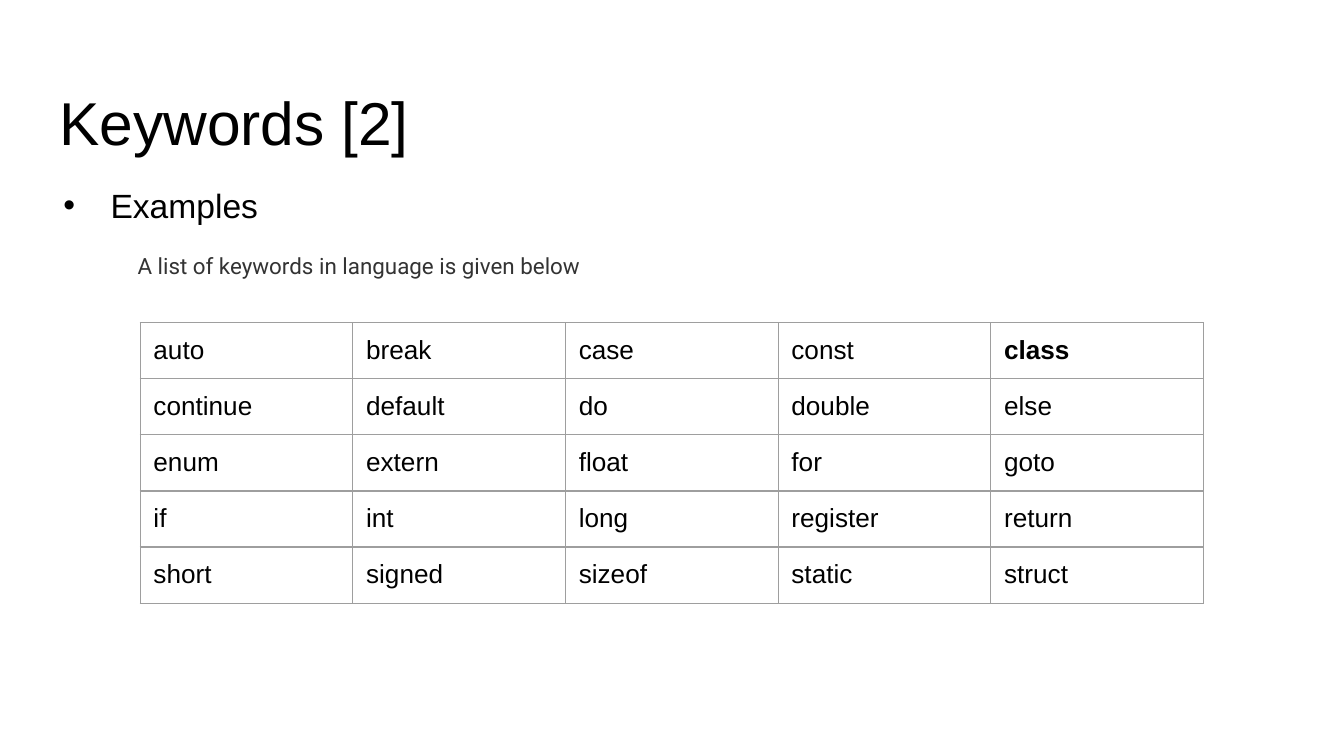
from dataclasses import dataclass

from lxml.etree import SubElement
from pptx import Presentation
from pptx.dml.color import RGBColor
from pptx.enum.text import MSO_ANCHOR, MSO_AUTO_SIZE, PP_ALIGN
from pptx.oxml.ns import qn
from pptx.util import Cm, Pt

# Content
TITLE = "Keywords [2]"
BULLET = "Examples"
INTRO = "A list of keywords in language is given below"
KEYWORDS = [
    ["auto", "break", "case", "const", "class"],
    ["continue", "default", "do", "double", "else"],
    ["enum", "extern", "float", "for", "goto"],
    ["if", "int", "long", "register", "return"],
    ["short", "signed", "sizeof", "static", "struct"],
]
BOLD_KEYWORDS = {"class"}


@dataclass(frozen=True)
class Theme:
    font: str = "Arial"
    intro_font: str = "Roboto"
    text: str = "000000"
    intro: str = "333333"
    border: str = "9E9E9E"
    title_size: float = 32.4
    bullet_size: float = 18
    intro_size: float = 12
    cell_size: float = 14
    border_width: float = 0.75


THEME = Theme()

# Layout in centimetres
SLIDE_SIZE = (25.4, 14.29)
TITLE_BOX = (0.87, 1.24, 23.67, 1.6)
BODY_BOX = (0.87, 3.2, 23.67, 9.5)
TABLE_LEFT, TABLE_TOP = 2.65, 6.1
COLUMN_WIDTH, ROW_HEIGHT = 4.02, 1.06
MARGIN = 0.25


def write_text(paragraph, text, size, font=THEME.font, color=THEME.text,
               bold=False, align=PP_ALIGN.LEFT):
    paragraph.alignment = align
    run = paragraph.add_run()
    run.text = text
    run.font.name = font
    run.font.size = Pt(size)
    run.font.bold = bold
    run.font.color.rgb = RGBColor.from_string(color)


def set_frame(frame, top_margin):
    frame.word_wrap = True
    frame.auto_size = MSO_AUTO_SIZE.NONE
    frame.vertical_anchor = MSO_ANCHOR.TOP
    frame.margin_left = frame.margin_right = frame.margin_bottom = Cm(MARGIN)
    frame.margin_top = Cm(top_margin)


def set_indent(paragraph, left, first_line=0):
    properties = paragraph._p.get_or_add_pPr()
    properties.set("marL", str(Cm(left)))
    properties.set("indent", str(Cm(first_line)))
    return properties


def add_bullet(paragraph, left, hanging):
    properties = set_indent(paragraph, left, -hanging)
    color = SubElement(properties, qn("a:buClr"))
    SubElement(color, qn("a:srgbClr"), val=THEME.text)
    SubElement(properties, qn("a:buFont"), typeface=THEME.font)
    SubElement(properties, qn("a:buChar"), char="•")


def set_borders(cell):
    properties = cell._tc.get_or_add_tcPr()
    for position, side in enumerate(("a:lnL", "a:lnR", "a:lnT", "a:lnB")):
        line = SubElement(properties, qn(side), w=str(Pt(THEME.border_width)))
        fill = SubElement(line, qn("a:solidFill"))
        SubElement(fill, qn("a:srgbClr"), val=THEME.border)
        properties.insert(position, line)


def add_title(slide):
    title = slide.shapes.title
    title.left, title.top, title.width, title.height = map(Cm, TITLE_BOX)
    set_frame(title.text_frame, top_margin=0.37)
    write_text(title.text_frame.paragraphs[0], TITLE, THEME.title_size)


def add_body(slide):
    frame = slide.shapes.add_textbox(*map(Cm, BODY_BOX)).text_frame
    set_frame(frame, top_margin=0.3)
    example = frame.paragraphs[0]
    add_bullet(example, left=0.97, hanging=0.89)
    write_text(example, BULLET, THEME.bullet_size)

    intro = frame.add_paragraph()
    set_indent(intro, left=1.48)
    intro.line_spacing = 1.15
    intro.space_before = Pt(12)
    write_text(intro, INTRO, THEME.intro_size, font=THEME.intro_font,
               color=THEME.intro, align=PP_ALIGN.JUSTIFY)


def add_keyword_table(slide):
    row_count, column_count = len(KEYWORDS), len(KEYWORDS[0])
    table = slide.shapes.add_table(
        row_count, column_count, Cm(TABLE_LEFT), Cm(TABLE_TOP),
        Cm(COLUMN_WIDTH * column_count), Cm(ROW_HEIGHT * row_count)).table
    table.first_row = table.horz_banding = False
    for column in table.columns:
        column.width = Cm(COLUMN_WIDTH)
    for row, keywords in zip(table.rows, KEYWORDS):
        row.height = Cm(ROW_HEIGHT)
        for cell, keyword in zip(row.cells, keywords):
            cell.fill.background()
            set_borders(cell)
            cell.margin_left = cell.margin_right = Cm(MARGIN)
            cell.margin_top = cell.margin_bottom = Cm(0.24)
            write_text(cell.text_frame.paragraphs[0], keyword, THEME.cell_size,
                       bold=keyword in BOLD_KEYWORDS)


def main():
    presentation = Presentation()
    presentation.slide_width, presentation.slide_height = map(Cm, SLIDE_SIZE)
    slide = presentation.slides.add_slide(presentation.slide_layouts[5])
    add_title(slide)
    add_body(slide)
    add_keyword_table(slide)
    presentation.save("out.pptx")


if __name__ == "__main__":
    main()
